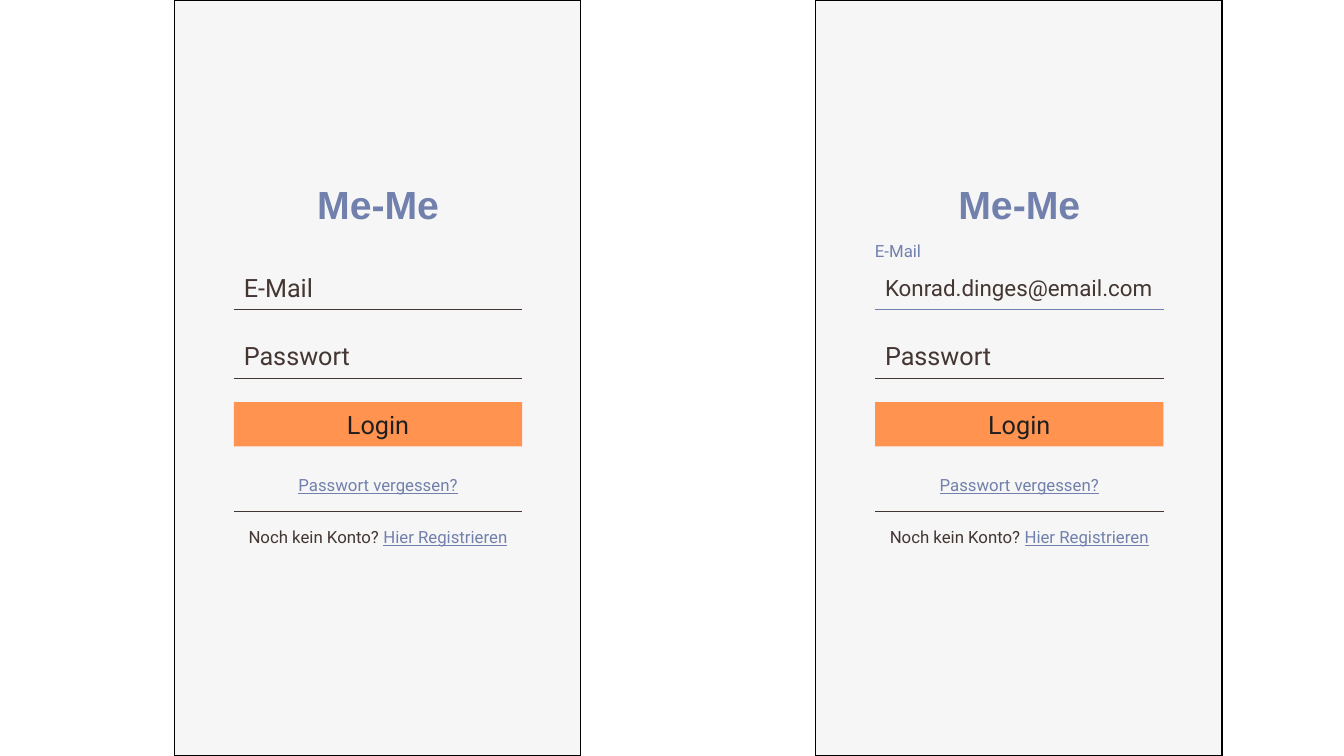
from lxml import etree
from pptx import Presentation
from pptx.dml.color import RGBColor
from pptx.enum.shapes import MSO_CONNECTOR, MSO_SHAPE
from pptx.enum.text import MSO_ANCHOR, PP_ALIGN
from pptx.oxml.ns import qn
from pptx.util import Inches, Pt

WHITE = RGBColor(0xFF, 0xFF, 0xFF)
BLACK = RGBColor(0x00, 0x00, 0x00)
SCREEN_GRAY = RGBColor(0xF6, 0xF6, 0xF6)
BLUE = RGBColor(0x71, 0x80, 0xAC)
BROWN = RGBColor(0x43, 0x36, 0x33)
ORANGE = RGBColor(0xFF, 0x93, 0x4F)
INK = RGBColor(0x1F, 0x1F, 0x1F)

SCREENS = [
    {"left": 1.73, "form_left": 2.32, "label": None,
     "email": "E-Mail", "email_size": 18, "email_line": BROWN},
    {"left": 8.09, "form_left": 8.68, "label": "E-Mail",
     "email": "Konrad.dinges@email.com", "email_size": 16, "email_line": BLUE},
]
TITLE = "Me-Me"
PASSWORD = "Passwort"
LOGIN = "Login"
FORGOTTEN = "Passwort vergessen?"
REGISTER = [("Noch kein Konto? ", BROWN, False), ("Hier Registrieren", BLUE, True)]

SCREEN_WIDTH, SCREEN_HEIGHT = 4.03, 7.5
ROW_WIDTH, ROW_HEIGHT = 2.86, 0.44
TITLE_TOP, LABEL_TOP = 1.8, 2.27
FIELD_TOP, FIELD_STEP = 2.63, 0.68
EMAIL_TOP, PASSWORD_TOP, LOGIN_TOP = (FIELD_TOP + FIELD_STEP * row for row in range(3))
FORGOTTEN_TOP, DIVIDER_TOP, REGISTER_TOP = 4.59, 5.07, 5.11
LABEL_SHIFT = 0.1


def write(box, text, size=18, color=BROWN, font="Roboto", bold=False,
          underline=False, align=PP_ALIGN.LEFT):
    frame = box.text_frame
    frame.word_wrap = True
    frame.vertical_anchor = MSO_ANCHOR.MIDDLE
    para = frame.paragraphs[0]
    para.alignment = align
    spans = [(text, color, underline)] if isinstance(text, str) else text
    for words, span_color, underlined in spans:
        span = para.add_run()
        span.text = words
        span.font.name = font
        span.font.size = Pt(size)
        span.font.bold = bold
        span.font.underline = underlined
        span.font.color.rgb = span_color


def add_text(page, left, top, text, **style):
    box = page.shapes.add_textbox(Inches(left), Inches(top),
                                  Inches(ROW_WIDTH), Inches(ROW_HEIGHT))
    write(box, text, **style)


def add_rectangle(page, left, top, width, height, fill, outline=None):
    box = page.shapes.add_shape(MSO_SHAPE.RECTANGLE, Inches(left), Inches(top),
                                Inches(width), Inches(height))
    box.shadow.inherit = False
    box.fill.solid()
    box.fill.fore_color.rgb = fill
    if outline is None:
        box.line.fill.background()
    else:
        box.line.color.rgb = outline
        box.line.width = Pt(1)
    return box


def add_rule(page, left, top, color=BROWN):
    rule = page.shapes.add_connector(MSO_CONNECTOR.STRAIGHT, Inches(left), Inches(top),
                                     Inches(left + ROW_WIDTH), Inches(top))
    rule.line.color.rgb = color
    rule.line.width = Pt(0.5)
    etree.SubElement(rule._element.spPr, qn("a:effectLst"))


def add_screen(page, screen):
    left = screen["form_left"]
    center = PP_ALIGN.CENTER
    add_rectangle(page, screen["left"], 0, SCREEN_WIDTH, SCREEN_HEIGHT, SCREEN_GRAY, BLACK)
    add_text(page, left, TITLE_TOP, TITLE, size=28, color=BLUE, font="Arial",
             bold=True, align=center)
    if screen["label"]:
        add_text(page, left - LABEL_SHIFT, LABEL_TOP, screen["label"], size=12, color=BLUE)
    add_text(page, left, EMAIL_TOP, screen["email"], size=screen["email_size"])
    add_text(page, left, PASSWORD_TOP, PASSWORD)
    button = add_rectangle(page, left, LOGIN_TOP, ROW_WIDTH, ROW_HEIGHT, ORANGE)
    write(button, LOGIN, color=INK, align=center)
    add_rule(page, left, EMAIL_TOP + ROW_HEIGHT, screen["email_line"])
    add_rule(page, left, PASSWORD_TOP + ROW_HEIGHT)
    add_text(page, left, FORGOTTEN_TOP, FORGOTTEN, size=12, color=BLUE,
             underline=True, align=center)
    add_rule(page, left, DIVIDER_TOP)
    add_text(page, left, REGISTER_TOP, REGISTER, size=12, align=center)


def main():
    deck = Presentation()
    deck.slide_width, deck.slide_height = Inches(13.33), Inches(7.5)
    page = deck.slides.add_slide(deck.slide_layouts[6])
    page.background.fill.solid()
    page.background.fill.fore_color.rgb = WHITE
    for screen in SCREENS:
        add_screen(page, screen)
    deck.save("out.pptx")


if __name__ == "__main__":
    main()
